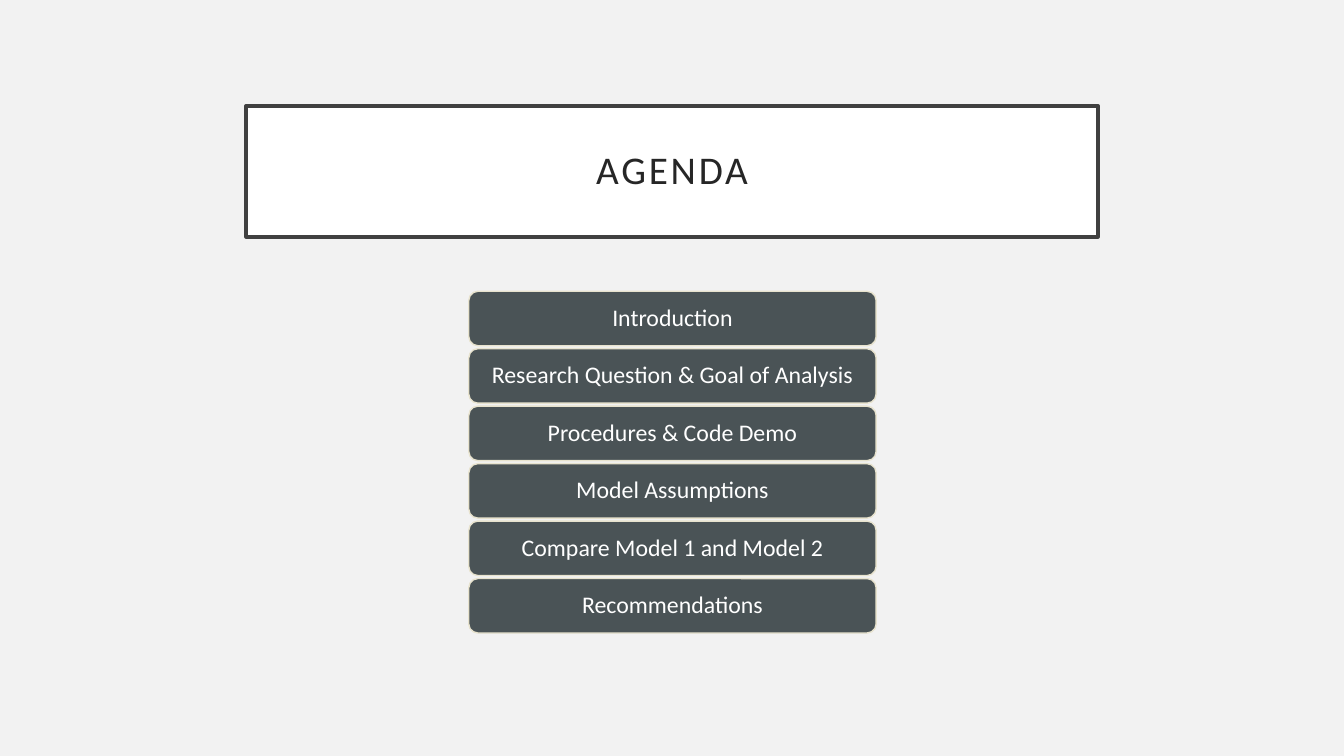
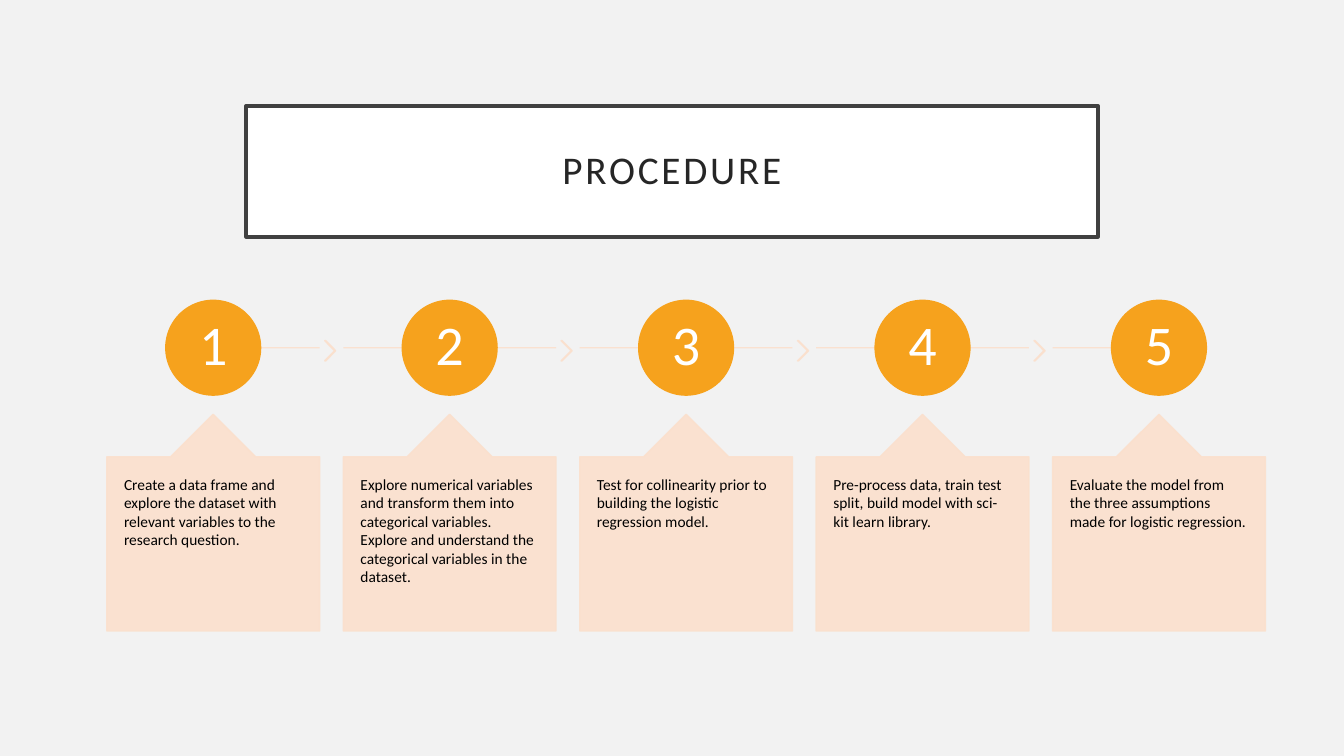
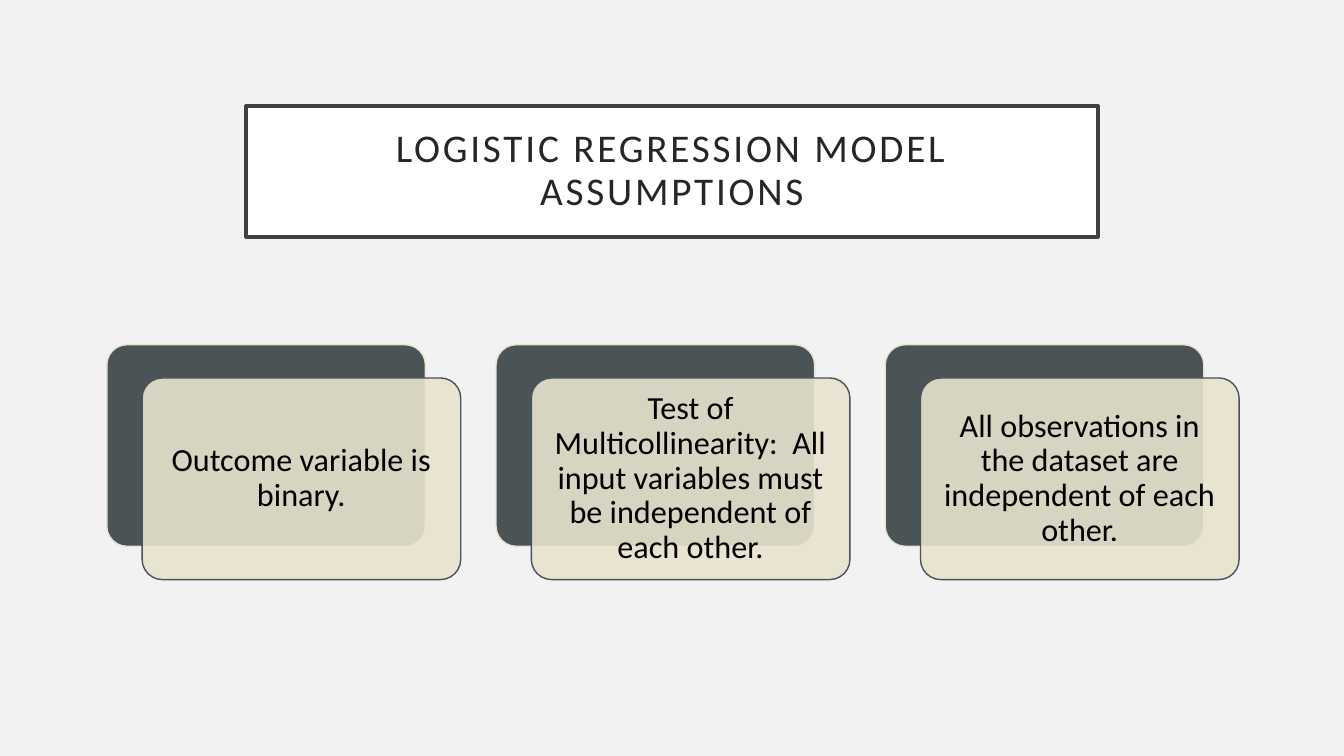
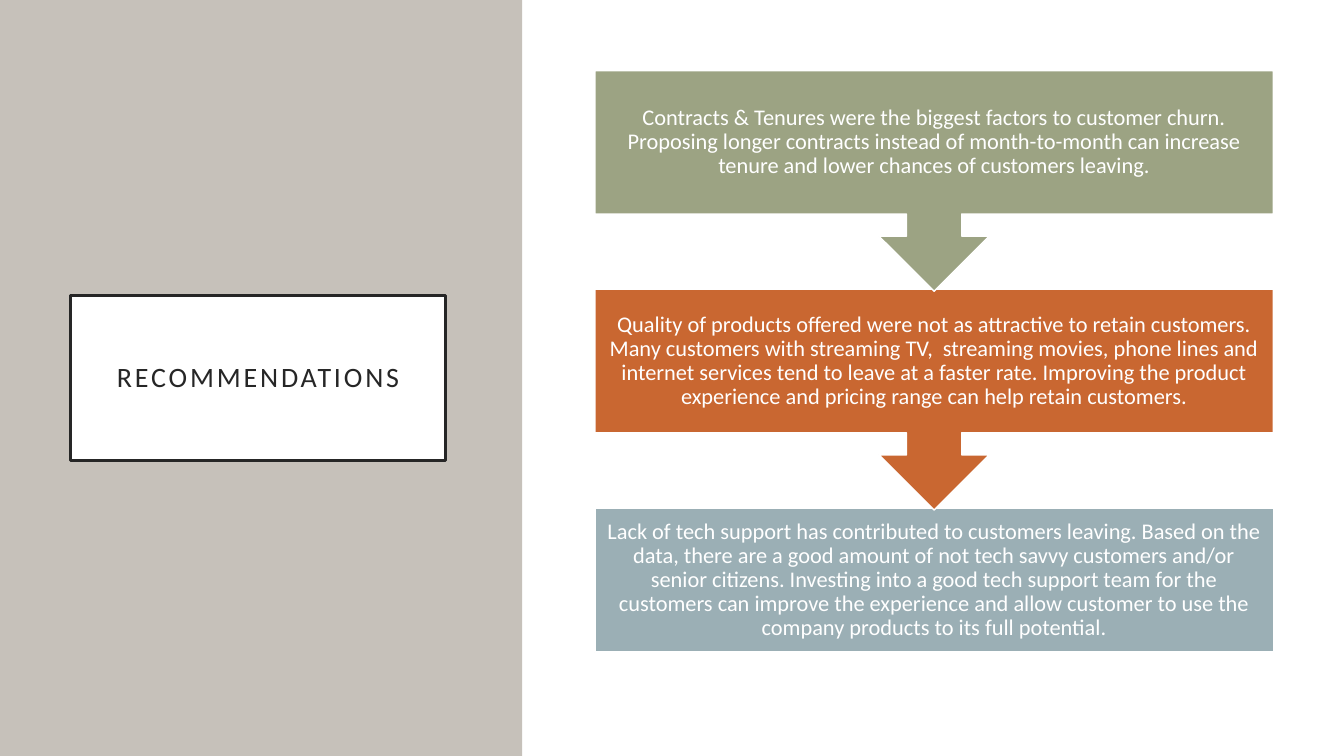
from pptx import Presentation
from pptx import util as u
from pptx.dml.color import RGBColor
from pptx.enum import shapes, text
from pptx.oxml import ns, xmlchemy

FONT = "Calibri"
WHITE = RGBColor(0xFF, 0xFF, 0xFF)
BLACK = RGBColor(0, 0, 0)
PALE = RGBColor(0xF2, 0xF2, 0xF2)
INK = RGBColor(0x26, 0x26, 0x26)
FRAME = RGBColor(0x40, 0x40, 0x40)
SLATE = RGBColor(0x4A, 0x53, 0x56)
CREAM = RGBColor(0xE8, 0xE3, 0xCE)
AMBER = RGBColor(0xF6, 0xA2, 0x1D)
PEACH = RGBColor(0xFB, 0xE0, 0xCD)
STONE = RGBColor(0xC6, 0xC1, 0xBA)
SAGE = RGBColor(0x9C, 0xA3, 0x83)
RUST = RGBColor(0xC9, 0x67, 0x31)
MIST = RGBColor(0x9B, 0xAF, 0xB5)
KIND = shapes.MSO_SHAPE

TOPICS = [
    "Introduction",
    "Research Question & Goal of Analysis",
    "Procedures & Code Demo",
    "Model Assumptions",
    "Compare Model 1 and Model 2",
    "Recommendations",
]
STEPS = [
    "Create a data frame and explore the dataset with relevant variables to the research question.",
    "Explore numerical variables and transform them into categorical variables. "
    "Explore and understand the categorical variables in the dataset.",
    "Test for collinearity prior to building the logistic regression model.",
    "Pre-process data, train test split, build model with sci-kit learn library.",
    "Evaluate the model from the three assumptions made for logistic regression.",
]
RULES = [
    "Outcome variable is binary.",
    "Test of Multicollinearity:  All input variables must be independent of each other.",
    "All observations in the dataset are independent of each other.",
]
ADVICE = [
    (KIND.DOWN_ARROW_CALLOUT, SAGE, 2.19,
     "Contracts & Tenures were the biggest factors to customer churn. Proposing longer "
     "contracts instead of month-to-month can increase tenure and lower chances of "
     "customers leaving."),
    (KIND.DOWN_ARROW_CALLOUT, RUST, 2.19,
     "Quality of products offered were not as attractive to retain customers. Many "
     "customers with streaming TV,  streaming movies, phone lines and internet services "
     "tend to leave at a faster rate. Improving the product experience and pricing range "
     "can help retain customers."),
    (KIND.RECTANGLE, MIST, 1.43,
     "Lack of tech support has contributed to customers leaving. Based on the data, there "
     "are a good amount of not tech savvy customers and/or senior citizens. Investing into "
     "a good tech support team for the customers can improve the experience and allow "
     "customer to use the company products to its full potential."),
]


def new_slide(deck, color):
    slide = deck.slides.add_slide(deck.slide_layouts[6])
    slide.background.fill.solid()
    slide.background.fill.fore_color.rgb = color
    return slide


def fade(shape, route):
    for color in shape.element.xpath(route):
        alpha = xmlchemy.OxmlElement("a:alpha")
        alpha.set("val", "90000")
        color.append(alpha)


def add_box(slide, kind, left, top, width, height, fill, line=None, weight=1, adjust=()):
    box = slide.shapes.add_shape(kind, *map(u.Inches, (left, top, width, height)))
    box.shadow.inherit = False
    box.fill.solid()
    box.fill.fore_color.rgb = fill
    if line is None:
        box.line.fill.background()
    else:
        box.line.color.rgb = line
        box.line.width = u.Pt(weight)
    for spot, value in enumerate(adjust):
        box.adjustments[spot] = value
    return box


def add_line(slide, left, right, top, color):
    ends = map(u.Inches, (left, top, right, top))
    line = slide.shapes.add_connector(shapes.MSO_CONNECTOR.STRAIGHT, *ends)
    line.line.color.rgb = color
    line.line.width = u.Pt(1)
    line.element.spPr.append(xmlchemy.OxmlElement("a:effectLst"))
    return line


def write(shape, words, size=16, color=WHITE, align=text.PP_ALIGN.CENTER,
          anchor=text.MSO_ANCHOR.MIDDLE, pad=(0.1, 0.1), lead=0.9, space=0):
    frame = shape.text_frame
    frame.word_wrap = True
    frame.vertical_anchor = anchor
    frame.margin_left = frame.margin_right = u.Inches(pad[0])
    frame.margin_top = frame.margin_bottom = u.Inches(pad[1])
    para = frame.paragraphs[0]
    para.alignment = align
    para.line_spacing = lead
    run = para.add_run()
    run.text = words
    run.font.name = FONT
    run.font.size = u.Pt(size)
    run.font.color.rgb = color
    if space:
        run.font._element.set("spc", str(space * 100))


def add_title(slide, words, place=(2.44, 1.05, 8.45, 1.3), line=FRAME, size=28):
    box = add_box(slide, KIND.RECTANGLE, *place, WHITE, line, 2.5)
    write(box, words, size=size, color=INK, pad=(0.2, 0.2), space=2)


def show_topics(deck):
    slide = new_slide(deck, PALE)
    add_title(slide, "AGENDA")
    for row, topic in enumerate(TOPICS):
        bar = add_box(slide, KIND.ROUNDED_RECTANGLE, 4.65, 2.89 + 0.57 * row, 4.04, 0.54,
                      SLATE, CREAM)
        write(bar, topic, size=17, pad=(0.07, 0.04))


def show_steps(deck):
    slide = new_slide(deck, PALE)
    add_title(slide, "PROCEDURE")
    wide, disc = 2.11, 0.94
    pitch = 9.38 / 4
    last = len(STEPS) - 1
    for col, step in enumerate(STEPS):
        left = 1.06 + pitch * col
        mid = left + wide / 2
        start = left if col else mid + 0.12
        end = left + wide if col < last else mid
        soft = [add_line(slide, start, end, 3.45, PEACH)]
        if col < last:
            soft.append(add_box(slide, KIND.CHEVRON, left + 2.16, 3.38, 0.11, 0.2,
                                PEACH, PEACH, adjust=[0.9]))
        dot = add_box(slide, KIND.OVAL, mid - disc / 2, 2.98, disc, disc, AMBER, AMBER)
        write(dot, str(col + 1), size=40, pad=(0.04, 0.04))
        card = add_box(slide, KIND.UP_ARROW_CALLOUT, left, 4.11, wide, 2.15, PEACH, PEACH,
                       adjust=[0.5, 0.2, 0.2, 1])
        write(card, step, size=11, color=BLACK, align=text.PP_ALIGN.LEFT,
              anchor=text.MSO_ANCHOR.TOP, pad=(0.17, 0.18), lead=1.0)
        for shape in soft + [card]:
            fade(shape, "./p:spPr//a:srgbClr")


def show_rules(deck):
    slide = new_slide(deck, PALE)
    add_title(slide, "LOGISTIC REGRESSION MODEL ASSUMPTIONS")
    size = (3.16, 2)
    for col, rule in enumerate(RULES):
        left = 1.06 + 3.86 * col
        add_box(slide, KIND.ROUNDED_RECTANGLE, left, 3.42, *size, SLATE, CREAM, adjust=[0.1])
        card = add_box(slide, KIND.ROUNDED_RECTANGLE, left + 0.35, 3.75, *size, CREAM, SLATE,
                       adjust=[0.1])
        fade(card, "./p:spPr/a:solidFill/a:srgbClr")
        write(card, rule, size=23, color=BLACK)


def show_advice(deck):
    slide = new_slide(deck, WHITE)
    add_box(slide, KIND.RECTANGLE, 0, 0, 5.18, 7.5, STONE)
    add_title(slide, "RECOMMENDATIONS", (0.7, 2.93, 3.72, 1.64), INK, 20)
    for row, (kind, color, height, words) in reversed(list(enumerate(ADVICE))):
        box = add_box(slide, kind, 5.9, 0.7 + 2.17 * row, 6.73, height, color, WHITE)
        write(box, words, pad=(0.12, 0.12))


def main():
    deck = Presentation()
    deck.slide_width = u.Inches(13.33)
    deck.slide_height = u.Inches(7.5)
    show_topics(deck)
    show_steps(deck)
    show_rules(deck)
    show_advice(deck)
    deck.save("out.pptx")


if __name__ == "__main__":
    main()
